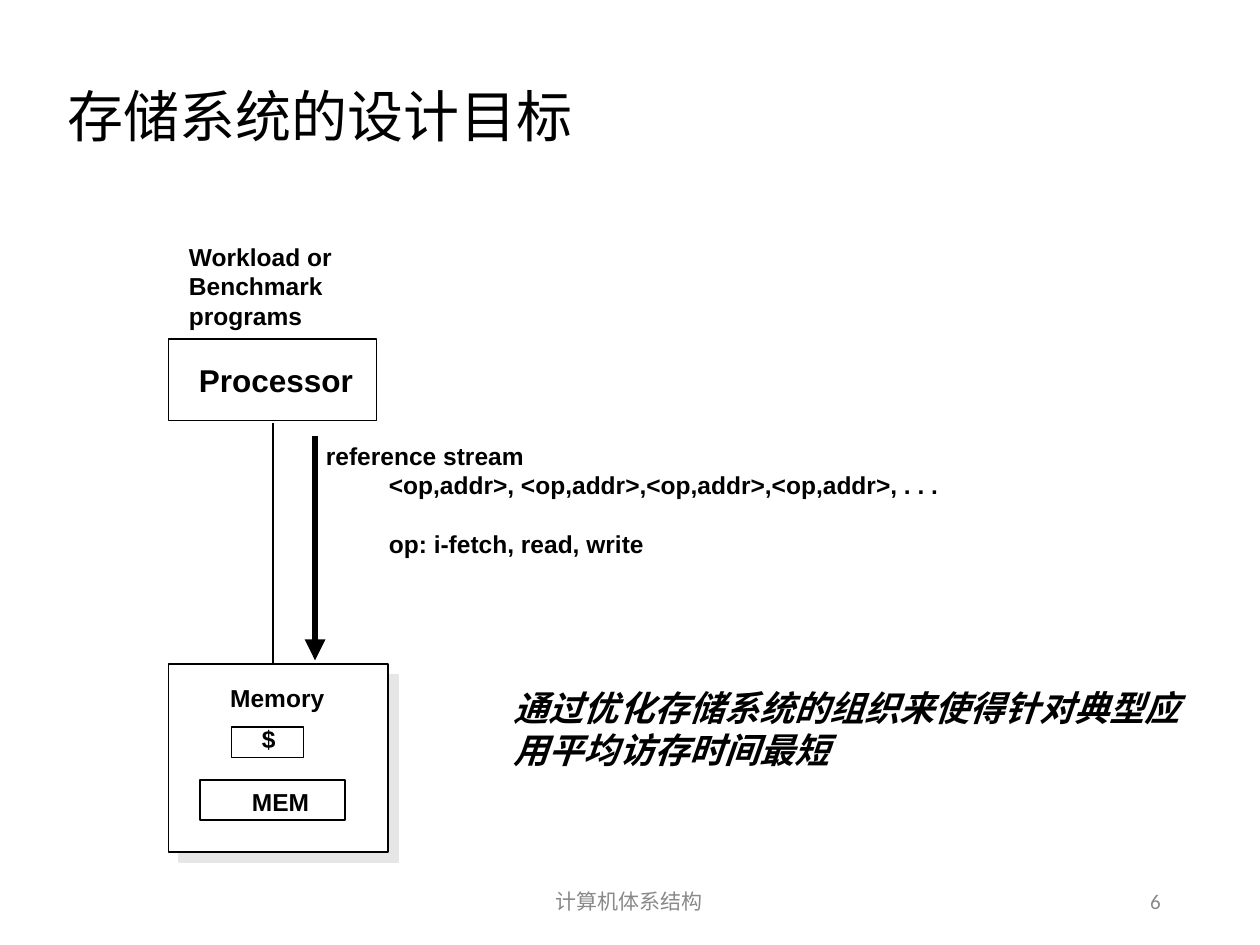
"""Build the slide on the design goal of a memory system."""
from pptx import Presentation
from pptx.dml.color import RGBColor
from pptx.enum.shapes import MSO_CONNECTOR as CONN, MSO_SHAPE as SHAPE
from pptx.enum.text import MSO_ANCHOR as ANCHOR, MSO_AUTO_SIZE as FIT, PP_ALIGN as ALIGN
from pptx.oxml.ns import qn
from pptx.util import Cm, Pt
from lxml.etree import SubElement


def rgb(value):
    return RGBColor.from_string(value)


def add_text(box, lines, size=14, color="000000", font="Arial", bold=True,
             italic=False, wrap=False, anchor=ANCHOR.TOP, align=ALIGN.LEFT,
             spacing=1.0):
    tf = s.shapes.add_textbox(*map(Cm, box)).text_frame
    frame = {"word_wrap": wrap, "vertical_anchor": anchor,
             "auto_size": FIT.NONE if wrap else FIT.SHAPE_TO_FIT_TEXT}
    for name, value in frame.items():
        setattr(tf, name, value)
    fmt = {"size": Pt(size), "name": font, "bold": bold, "italic": italic}
    for i, line in enumerate(lines):
        p = tf.add_paragraph() if i else tf.paragraphs[0]
        p.alignment, p.line_spacing = align, spacing
        r = p.add_run()
        r.text = line
        for name, value in fmt.items():
            setattr(r.font, name, value)
        r.font.color.rgb = rgb(color)
    return tf


prs = Presentation()
prs.slide_width, prs.slide_height = Cm(25.4), Cm(19.05)
s = prs.slides.add_slide(prs.slide_layouts[6])

boxes = {
    "processor": (3.4, 6.83, 4.19, 1.65),
    "memory": (3.4, 13.39, 4.42, 3.78),
    "cache": (4.67, 14.66, 1.45, 0.61),
    "main": (4.04, 15.72, 2.92, 0.81),
}
for name, box in boxes.items():
    sp = s.shapes.add_shape(SHAPE.RECTANGLE, *map(Cm, box))
    sp.fill.solid()
    sp.fill.fore_color.rgb = rgb("FFFFFF")
    sp.line.color.rgb = rgb("000000")
    sp.line.width = Pt(1)
    sp.shadow.inherit = False
    if name == "memory":
        effects = sp.element.spPr.find(qn("a:effectLst"))
        shadow = SubElement(effects, qn("a:outerShdw"), blurRad="0",
                            dist=str(Pt(8.5)), dir="2700000",
                            algn="ctr", rotWithShape="0")
        SubElement(shadow, qn("a:srgbClr"), val="E7E6E6")

for x, top, bottom, width, arrow in [(5.51, 8.53, 13.36, 1, False),
                                     (6.35, 8.79, 13.31, 4, True)]:
    line = s.shapes.add_connector(CONN.STRAIGHT, Cm(x), Cm(top), Cm(x), Cm(bottom))
    line.line.color.rgb = rgb("000000")
    line.line.width = Pt(width)
    if arrow:
        SubElement(line.element.spPr.find(qn("a:ln")), qn("a:tailEnd"), type="triangle")
    SubElement(line.element.spPr, qn("a:effectLst"))

add_text((3.76, 7.16, 3.61, 1.02), ["Processor"], size=18)
add_text((5.03, 14.48, 0.79, 0.84), ["$"])
add_text((4.83, 15.75, 1.67, 0.84), ["MEM"])
add_text((4.39, 13.64, 2.41, 0.84), ["Memory"])
add_text((3.56, 4.75, 3.4, 2.03), ["Workload or", "Benchmark", "programs"])

tf = add_text((6.32, 8.76, 12.88, 2.62),
              ["reference stream",
               "<op,addr>, <op,addr>,<op,addr>,<op,addr>, . . .",
               "op: i-fetch, read, write"])
for p in tf.paragraphs[1:]:
    p.level = 1
    p._p.get_or_add_pPr().set("marL", str(Cm(1.27)))
tf.paragraphs[-1].space_before = Pt(16.8)

add_text((10.11, 13.72, 14.25, 1.93),
         ["通过优化存储系统的组织来使得针对典型应用平均访存时间最短"],
         size=20, italic=True, wrap=True)
add_text((1.12, 1.32, 23.27, 2.18), ["存储系统的设计目标"], size=32,
         font="Calibri", bold=False, wrap=True, anchor=ANCHOR.MIDDLE, spacing=0.9)
for left, width, line, align in [(8.41, 8.56, "计算机体系结构", ALIGN.CENTER),
                                 (17.93, 5.72, "6", ALIGN.RIGHT)]:
    add_text((left, 17.65, width, 1.02), [line], size=12, color="898989",
             font="Calibri", bold=False, wrap=True, anchor=ANCHOR.MIDDLE,
             align=align)

prs.save("out.pptx")
